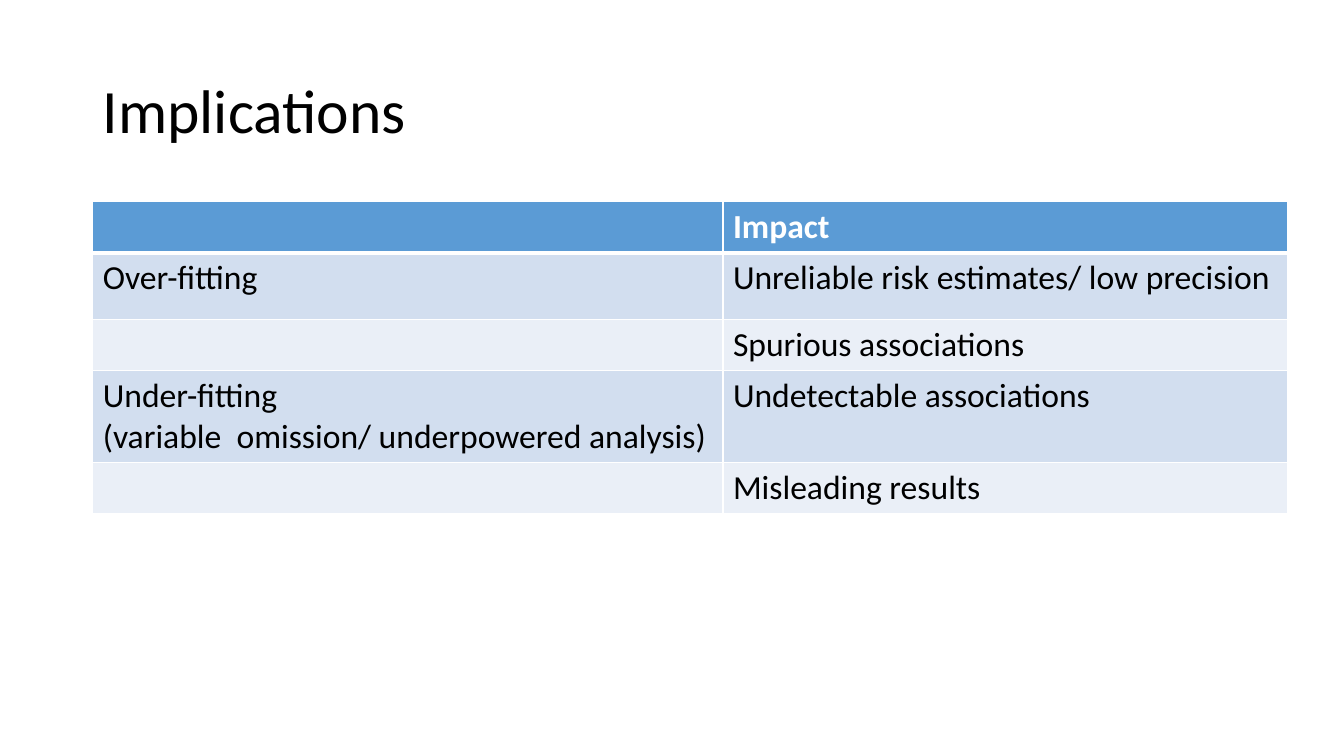
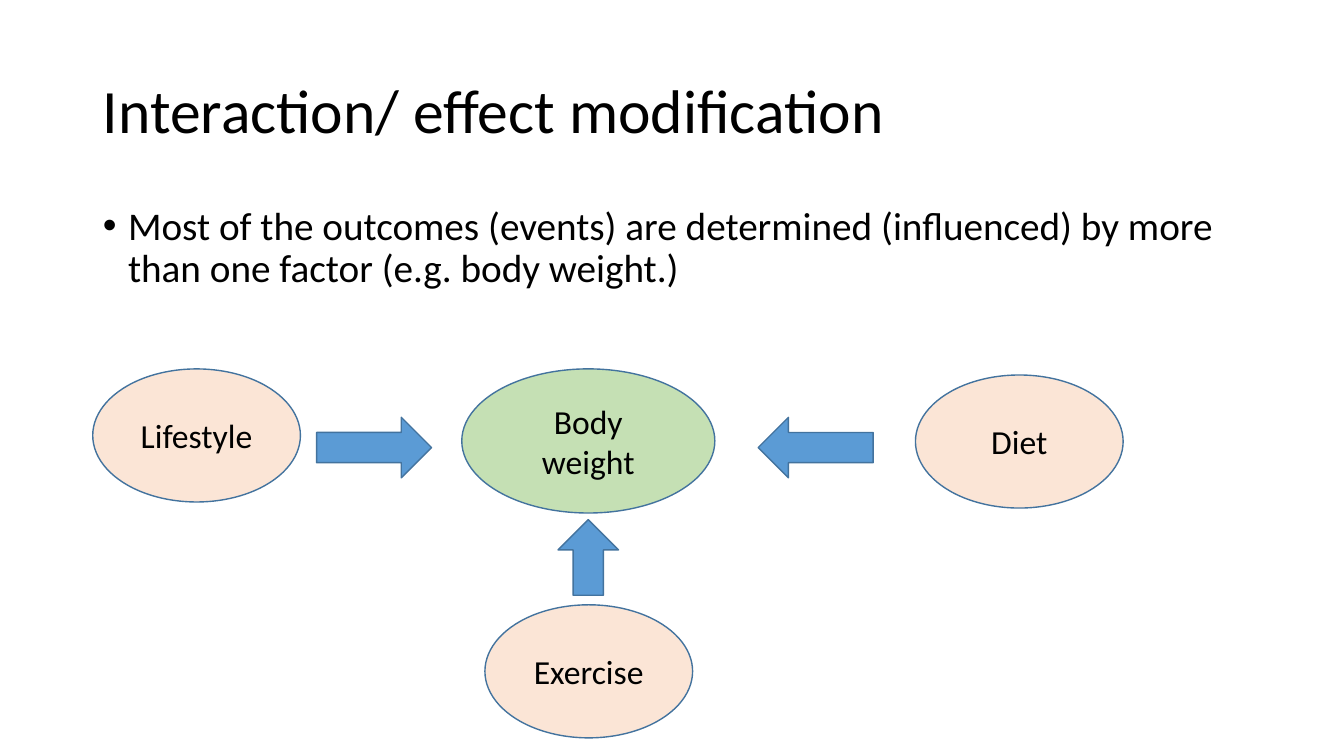
from lxml.etree import SubElement
from pptx import Presentation
from pptx.dml.color import RGBColor
from pptx.enum.shapes import MSO_SHAPE
from pptx.enum.text import MSO_ANCHOR, MSO_AUTO_SIZE, PP_ALIGN
from pptx.oxml.ns import qn
from pptx.util import Inches, Pt

BLACK, WHITE = "000000", "FFFFFF"
BLUE, OUTLINE = "5B9BD5", "43739E"
GREEN, PEACH = "C5E0B4", "FBE5D6"
BANDS = ("D2DEEF", "EAEFF7")
TITLE_LAYOUT, BODY_LAYOUT = 5, 1
TITLE_BOX = (0.92, 0.4, 11.5, 1.45)
BODY_BOX = (0.92, 2, 11.5, 4.76)
TABLE_BOX = (0.92, 2, 11.85, 3.07)
DIAGRAM_BOX = (0.92, 3.66, 10.22, 3.66)

TITLE_FONT = {"name": "Calibri", "size": Pt(44), "bold": False}
BODY_FONT = {"name": "Calibri", "size": Pt(28), "bold": False}
LABEL_FONT = {"name": "Calibri", "size": Pt(24), "bold": False}
HEADER_FONT = {**LABEL_FONT, "bold": True}

IMPACTS = [
    ("", "Impact"),
    ("Over-fitting", "Unreliable risk estimates/ low precision"),
    ("", "Spurious associations"),
    ("Under-fitting\n(variable  omission/ underpowered analysis)",
     "Undetectable associations"),
    ("", "Misleading results"),
]
COLUMN_WIDTHS = (6.25, 5.6)
ROW_HEIGHTS = (0.5, 0.66, 0.5, 0.91, 0.5)

# Places are offsets from the corner of the diagram box.
FACTOR_SIZE, OUTCOME_SIZE = (2.06, 1.32), (2.51, 1.43)
OVALS = [
    ("Body weight", (3.66, 0), OUTCOME_SIZE, GREEN),
    ("Diet", (8.16, 0.06), FACTOR_SIZE, PEACH),
    ("Exercise", (3.89, 2.34), FACTOR_SIZE, PEACH),
    ("Lifestyle", (0, 0), FACTOR_SIZE, PEACH),
]
ARROWS = [
    ((2.22, 0.48), (1.14, 0.6), 0),
    ((6.6, 0.48), (1.14, 0.6), 180),
    ((4.54, 1.57), (0.75, 0.6), 270),
]


def color(value):
    """Turn a hex string into a colour."""
    return RGBColor.from_string(value)


def apply(target, values):
    """Set each attribute named in a dict."""
    for name, value in values.items():
        setattr(target, name, value)


def write(frame, text, font, ink=BLACK, **layout):
    """Write text into a frame, one paragraph per line."""
    frame.text = text
    for para in frame.paragraphs:
        apply(para, layout)
        for span in para.runs:
            apply(span.font, font)
            span.font.color.rgb = color(ink)


def place(shape, box):
    """Move a shape to a box given in inches."""
    names = ("left", "top", "width", "height")
    apply(shape, dict(zip(names, map(Inches, box))))


def add_page(deck, layout, title):
    """Add a slide with the shared title style."""
    page = deck.slides.add_slide(deck.slide_layouts[layout])
    place(page.shapes.title, TITLE_BOX)
    frame = page.shapes.title.text_frame
    apply(frame, {"vertical_anchor": MSO_ANCHOR.MIDDLE, "word_wrap": True,
                  "auto_size": MSO_AUTO_SIZE.NONE})
    write(frame, title, TITLE_FONT, alignment=PP_ALIGN.LEFT, line_spacing=0.9)
    return page


def add_bullets(page, box, text):
    """Fill the body placeholder with bulleted lines."""
    body = page.placeholders[1]
    place(body, box)
    frame = body.text_frame
    apply(frame, {"word_wrap": True, "auto_size": MSO_AUTO_SIZE.NONE})
    write(frame, text, BODY_FONT, line_spacing=0.9, space_before=Pt(10))
    for para in frame.paragraphs:
        properties = para._p.get_or_add_pPr()
        properties.set("marL", str(Inches(0.25)))
        properties.set("indent", str(-Inches(0.25)))
        SubElement(properties, qn("a:buFont"), typeface="Arial")
        SubElement(properties, qn("a:buChar"), char="•")


def add_borders(cell, widths):
    """Draw white cell borders from a dict of side and width."""
    properties = cell._tc.get_or_add_tcPr()
    for side, width in widths.items():
        line = SubElement(properties, qn(f"a:ln{side}"), w=str(Pt(width)))
        fill = SubElement(line, qn("a:solidFill"))
        SubElement(fill, qn("a:srgbClr"), val=WHITE)


def add_impact_table(page, box, rows):
    """Add a banded table with a header row."""
    frame = page.shapes.add_table(len(rows), len(COLUMN_WIDTHS), *map(Inches, box))
    table = frame.table
    for column, width in zip(table.columns, COLUMN_WIDTHS):
        column.width = Inches(width)
    for index, (row, height) in enumerate(zip(table.rows, ROW_HEIGHTS)):
        row.height = Inches(height)
        header = index == 0
        fill = BLUE if header else BANDS[(index - 1) % 2]
        font, ink = (HEADER_FONT, WHITE) if header else (LABEL_FONT, BLACK)
        borders = {"L": 1, "R": 1, "T": 3 if index == 1 else 1,
                   "B": 3 if header else 1}
        for cell, text in zip(row.cells, rows[index]):
            add_borders(cell, borders)
            cell.fill.solid()
            cell.fill.fore_color.rgb = color(fill)
            write(cell.text_frame, text, font, ink)


def add_outlined(page, kind, box, fill):
    """Add a filled preset shape with the shared outline."""
    shape = page.shapes.add_shape(kind, *map(Inches, box))
    shape.shadow.inherit = False
    shape.fill.solid()
    shape.fill.fore_color.rgb = color(fill)
    shape.line.color.rgb = color(OUTLINE)
    shape.line.width = Pt(1)
    return shape


def add_factor_diagram(page, box):
    """Draw the factors and the arrows to their outcome."""
    left, top = box[:2]
    for label, (across, down), size, fill in OVALS:
        oval = add_outlined(page, MSO_SHAPE.OVAL,
                            (left + across, top + down, *size), fill)
        oval.text_frame.word_wrap = True
        oval.text_frame.vertical_anchor = MSO_ANCHOR.MIDDLE
        write(oval.text_frame, label, LABEL_FONT, alignment=PP_ALIGN.CENTER)
    for (across, down), size, angle in ARROWS:
        arrow = add_outlined(page, MSO_SHAPE.RIGHT_ARROW,
                             (left + across, top + down, *size), BLUE)
        arrow.rotation = angle


def build():
    """Build and save the deck."""
    deck = Presentation()
    deck.slide_width, deck.slide_height = Inches(13.33), Inches(7.5)
    page = add_page(deck, TITLE_LAYOUT, "Implications")
    add_impact_table(page, TABLE_BOX, IMPACTS)
    page = add_page(deck, BODY_LAYOUT, "Interaction/ effect modification")
    add_bullets(page, BODY_BOX,
                "Most of the outcomes (events) are determined (influenced) "
                "by more than one factor (e.g. body weight.)")
    add_factor_diagram(page, DIAGRAM_BOX)
    deck.save("out.pptx")


build()
